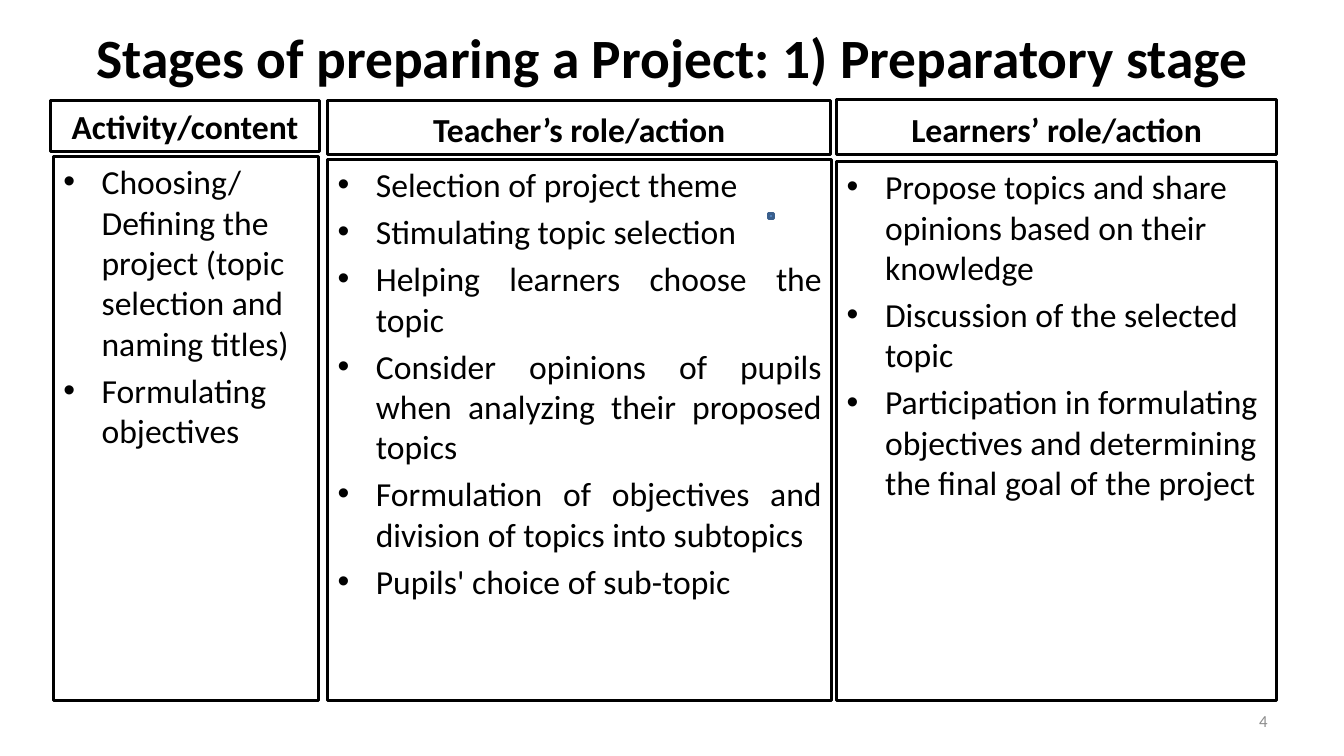
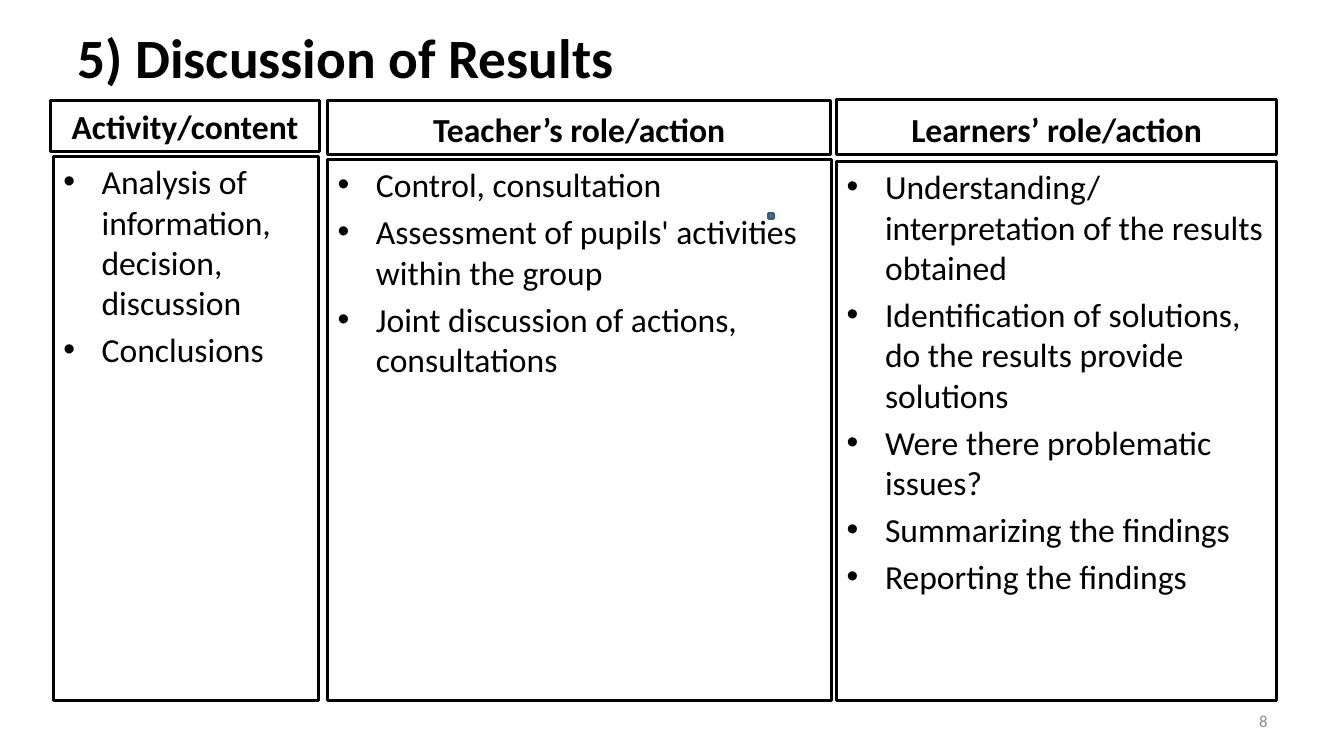
from pptx import Presentation, util as u
from pptx.dml.color import RGBColor
from pptx.enum import shapes, text
from pptx.oxml.ns import qn
from lxml import etree

WIDTH, HEIGHT = 13.33, 7.5
FONT, BLACK, WHITE, GREY = "Calibri", "000000", "FFFFFF", "8C8C8C"
BLUE, DARK_BLUE = "4F81BD", "3A5F8C"
BOTTOM = 6.95
INDENT = 0.38
MARKER = (7.62, 2.12, 0.05, 0.05)
ALIGN = {"l": text.PP_ALIGN.LEFT, "c": text.PP_ALIGN.CENTER,
         "r": text.PP_ALIGN.RIGHT, "j": text.PP_ALIGN.JUSTIFY}
ANCHOR = {"t": text.MSO_ANCHOR.TOP, "m": text.MSO_ANCHOR.MIDDLE,
          "b": text.MSO_ANCHOR.BOTTOM}

# heading, heading box, left, top and width of the list box
COLUMNS = [
    ("Activity/content", (0.5, 1, 2.67, 0.5), (0.53, 1.55, 2.63)),
    ("Teacher’s role/action", (3.25, 1, 4.99, 0.53), (3.25, 1.58, 5)),
    ("Learners’ role/action", (8.3, 0.99, 4.36, 0.54), (8.3, 1.6, 4.36)),
]

SLIDES = [
    {"title": "Stages of preparing a Project: 1) Preparatory stage",
     "title_align": "c", "number": 4, "list_aligns": "ljl",
     "lists": [
         ["Choosing/Defining the project (topic selection and naming titles)",
          "Formulating objectives"],
         ["Selection of project theme",
          "Stimulating topic selection",
          "Helping learners choose the topic",
          "Consider opinions of pupils when analyzing their proposed topics",
          "Formulation of objectives and division of topics into subtopics",
          "Pupils' choice of sub-topic"],
         ["Propose topics and share opinions based on their knowledge",
          "Discussion of the selected topic",
          "Participation in formulating objectives and determining "
          "the final goal of the project"]]},
    {"title": "5) Discussion of Results",
     "title_align": "l", "number": 8, "list_aligns": "lll",
     "lists": [
         ["Analysis of information, decision, discussion",
          "Conclusions"],
         ["Control, consultation",
          "Assessment of pupils' activities within the group",
          "Joint discussion of actions, consultations"],
         ["Understanding/interpretation of the results obtained",
          "Identification of solutions, do the results provide solutions",
          "Were there problematic issues?",
          "Summarizing the findings",
          "Reporting the findings"]]},
]


def rgb(value):
    return RGBColor.from_string(value)


def add_rect(slide, box, fill=WHITE, line=BLACK):
    sp = slide.shapes.add_shape(shapes.MSO_SHAPE.RECTANGLE,
                                *[u.Inches(v) for v in box])
    sp.shadow.inherit = False
    sp.fill.solid()
    sp.fill.fore_color.rgb = rgb(fill)
    sp.line.color.rgb = rgb(line)
    sp.line.width = u.Pt(2)
    return sp


def add_box(slide, box):
    return slide.shapes.add_textbox(*[u.Inches(v) for v in box])


def add_bullet(p):
    pPr = p._p.get_or_add_pPr()
    pPr.set("marL", str(u.Inches(INDENT)))
    pPr.set("indent", str(-u.Inches(INDENT)))
    etree.SubElement(pPr, qn("a:buFont"), typeface="Arial")
    etree.SubElement(pPr, qn("a:buChar"), char="•")


def write(sp, *lines, size=24, color=BLACK, bold=False, align="l",
          anchor="t", bullets=False):
    tf = sp.text_frame
    tf.word_wrap = True
    tf.vertical_anchor = ANCHOR[anchor]
    for i, line in enumerate(lines):
        p = tf.add_paragraph() if i else tf.paragraphs[0]
        p.alignment = ALIGN[align]
        if bullets:
            add_bullet(p)
        if i:
            p.space_before = u.Pt(size * 0.2)
        r = p.add_run()
        r.text = line
        r.font.name = FONT
        r.font.size = u.Pt(size)
        r.font.bold = bold
        r.font.color.rgb = rgb(color)


def build_slide(prs, content):
    s = prs.slides.add_slide(prs.slide_layouts[6])
    write(add_box(s, (0.67, 0.17, 12, 0.78)), content["title"], size=39.6,
          bold=True, align=content["title_align"], anchor="m")
    for (heading, head_box, (x, y, w)), items, align in zip(
            COLUMNS, content["lists"], content["list_aligns"]):
        write(add_rect(s, head_box), heading, bold=True, align="c", anchor="b")
        write(add_rect(s, (x, y, w, BOTTOM - y)), *items, align=align,
              bullets=True)
    add_rect(s, MARKER, BLUE, DARK_BLUE)
    write(add_box(s, (9.56, BOTTOM, 3.11, 0.4)), str(content["number"]),
          size=12, color=GREY, align="r", anchor="m")


def main():
    prs = Presentation()
    prs.slide_width, prs.slide_height = u.Inches(WIDTH), u.Inches(HEIGHT)
    for content in SLIDES:
        build_slide(prs, content)
    prs.save("out.pptx")


if __name__ == "__main__":
    main()
